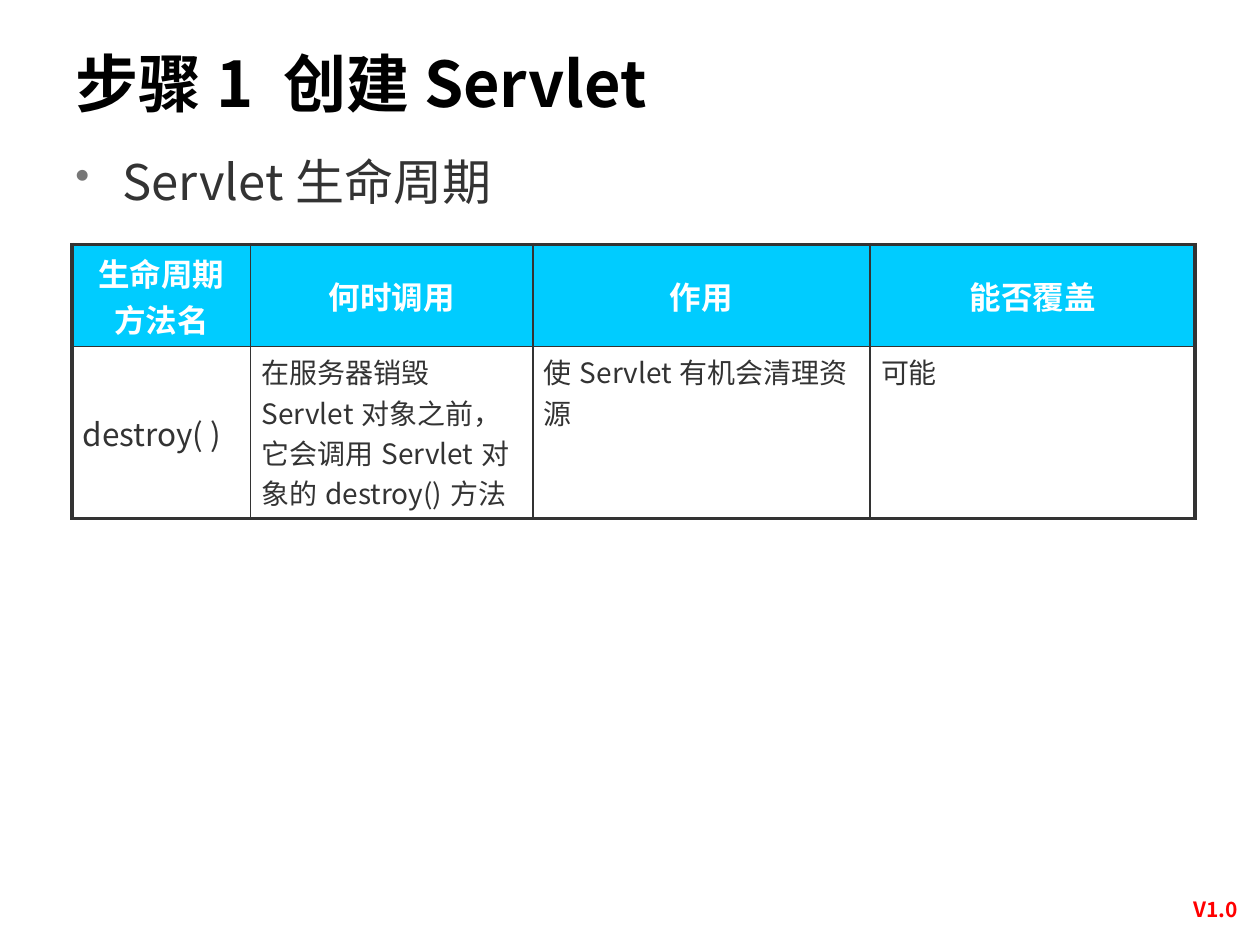
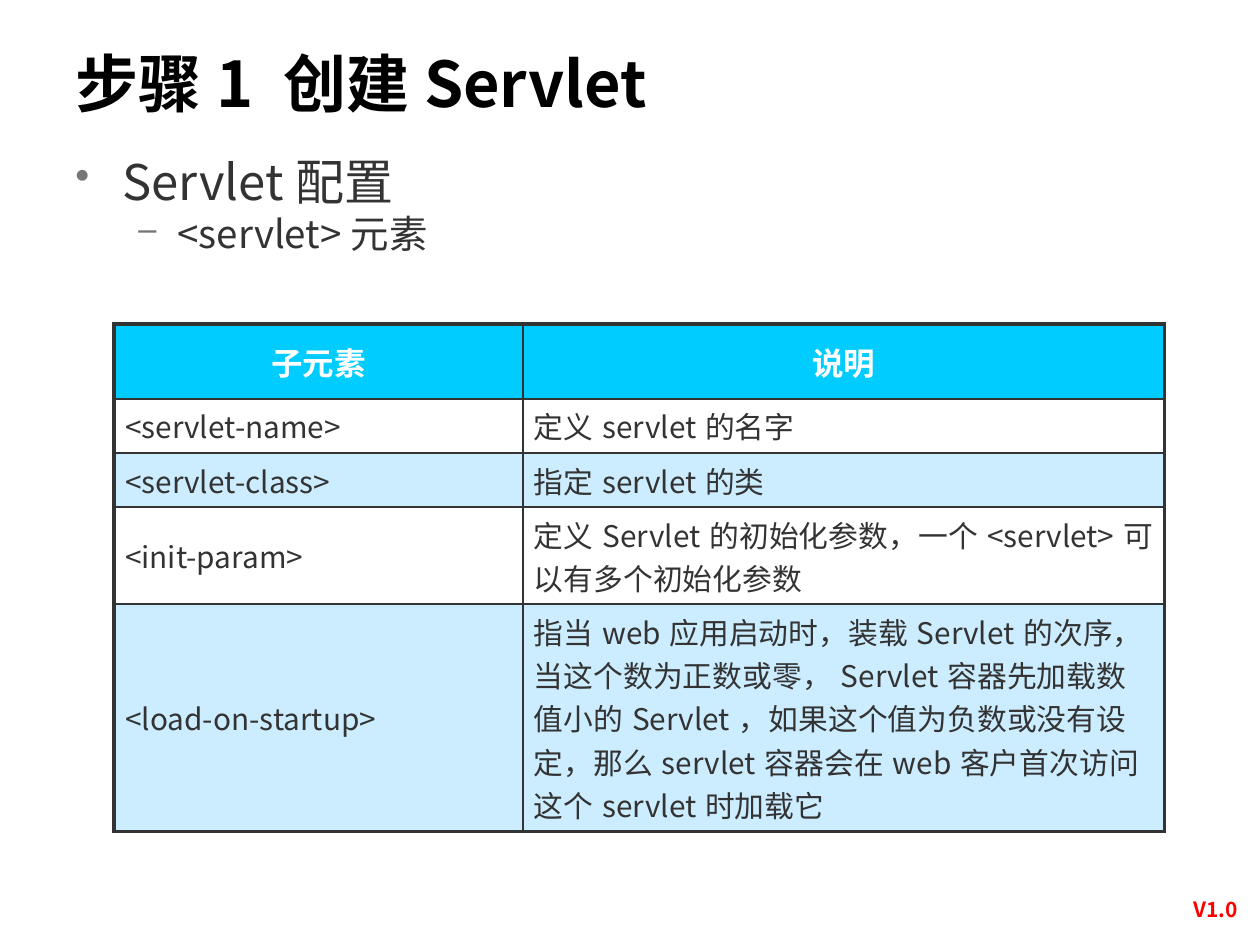
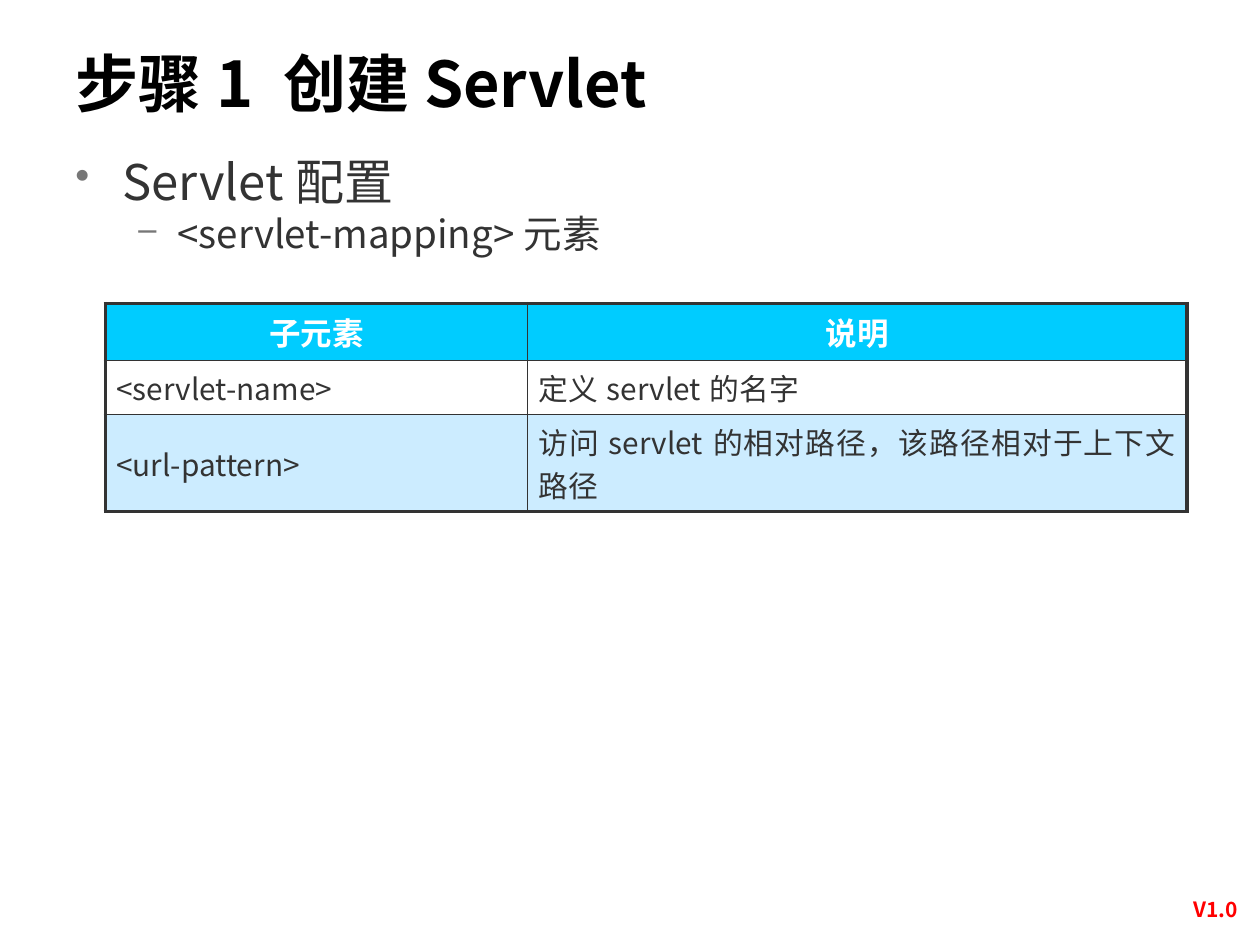
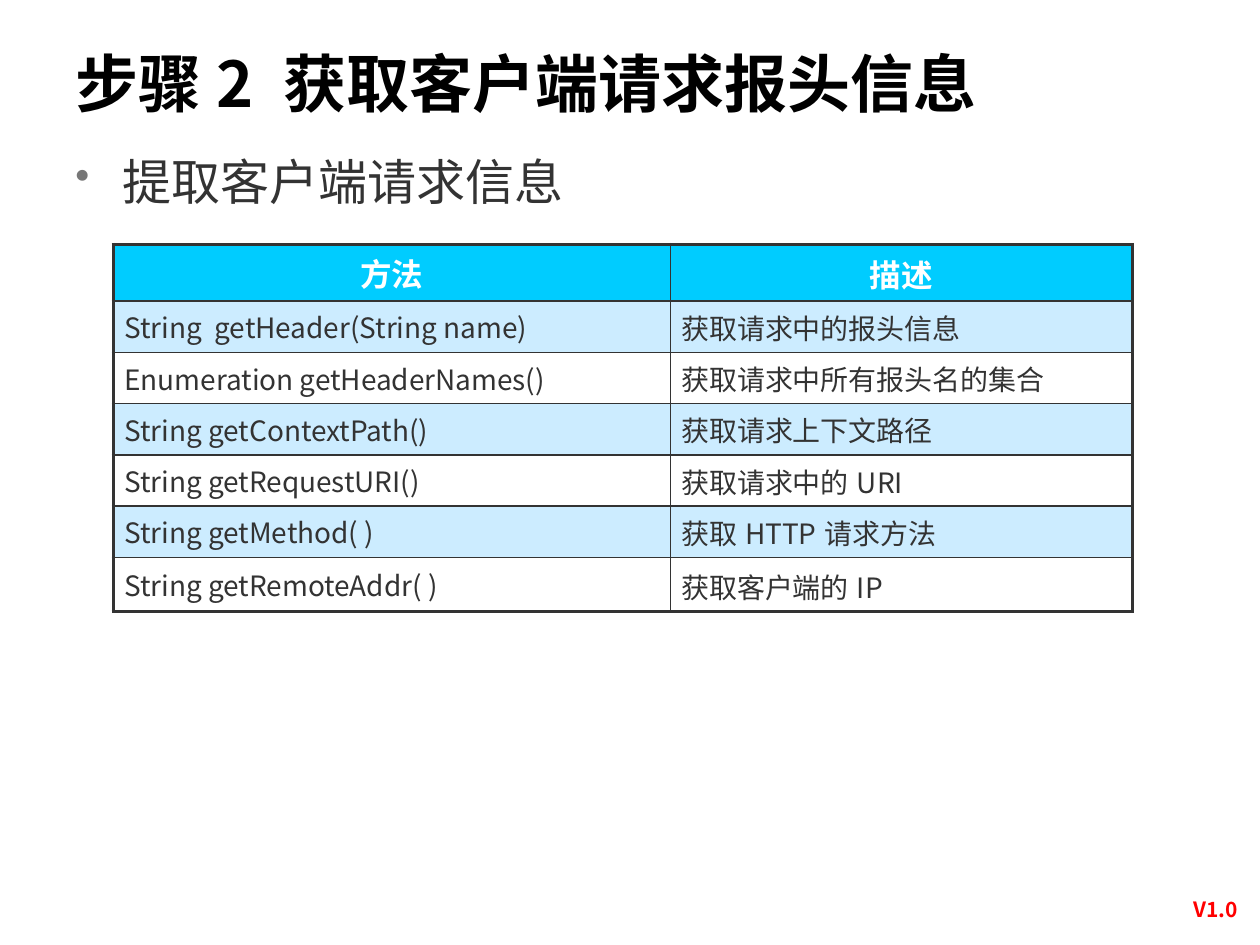
from lxml.etree import SubElement as Sub
from pptx import Presentation
from pptx.dml.color import RGBColor as Rgb
from pptx.enum.text import MSO_ANCHOR as Anchor, PP_ALIGN as Align
from pptx.oxml.ns import qn
from pptx.util import Inches, Pt

INK = {"title": "000000", "text": "333333", "mark": "777777", "note": "FF0000",
       "head": "00CCFF", "tint": "CCECFF", "white": "FFFFFF"}
FONT = "Noto Sans CJK SC"
THICK, THIN = Pt(2.25), Pt(1)

deck = Presentation()
deck.slide_width, deck.slide_height = Inches(10), Inches(7.5)
UNIT = deck.slide_width // 100  # the grid: 100 columns by 75 rows

# Bullet levels: mark, text size, left margin, hang
LEVELS = [("•", 28, 3.75, 3.75), ("–", 22, 8.1, 3.1)]


def style(par, size, ink, bold=False, align=Align.LEFT):
    """Format one paragraph and its runs."""
    par.alignment = align
    for run in par.runs:
        font = run.font
        font.size, font.bold, font.name = Pt(size), bold, FONT
        font.color.rgb = Rgb.from_string(INK[ink])
        Sub(run._r.get_or_add_rPr(), qn("a:ea")).set("typeface", FONT)


def add_box(slide, left, top, width, height, lines):
    """Add a wrapped text box in grid units and return its frame."""
    box = slide.shapes.add_textbox(*[int(n * UNIT) for n in (left, top, width, height)])
    frame = box.text_frame
    frame.word_wrap = True
    frame.text = "\n".join(lines)
    return frame


# just: rows whose last column is justified; odd: parity of the tinted rows
SLIDES = [
    {"title": "步骤1 创建Servlet", "points": ["Servlet生命周期"],
     "at": (5.7, 19.4), "cols": [14.2, 22.4, 26.75, 25.8], "rows": [8.1, 13.65],
     "sizes": [18, 16, 16, 16], "anchor": Anchor.TOP, "odd": 0, "just": [],
     "cells": [
         ["生命周期方法名", "何时调用", "作用", "能否覆盖"],
         ["destroy( )", "在服务器销毁Servlet对象之前，它会调用Servlet对象的destroy()方法",
          "使Servlet有机会清理资源", "可能"]]},
    {"title": "步骤1 创建Servlet", "points": ["Servlet配置", "<servlet>元素"],
     "at": (9.05, 25.7), "cols": [32.45, 50.9], "rows": [5.95, 4.3, 4.3, 7.7, 18.05],
     "sizes": [17, 17], "anchor": Anchor.MIDDLE, "odd": 0, "just": [2, 3],
     "cells": [
         ["子元素", "说明"],
         ["<servlet-name>", "定义servlet的名字"],
         ["<servlet-class>", "指定servlet的类"],
         ["<init-param>", "定义Servlet的初始化参数，一个<servlet>可以有多个初始化参数"],
         ["<load-on-startup>",
          "指当web应用启动时，装载Servlet的次序，当这个数为正数或零，"
          "Servlet容器先加载数值小的Servlet，如果这个值为负数或没有设定，"
          "那么servlet容器会在web客户首次访问这个servlet时加载它"]]},
    {"title": "步骤1 创建Servlet", "points": ["Servlet配置", "<servlet-mapping>元素"],
     "at": (8.35, 24.1), "cols": [33.5, 52.35], "rows": [4.5, 4.3, 7.7],
     "sizes": [17, 17], "anchor": Anchor.MIDDLE, "odd": 0, "just": [2],
     "cells": [
         ["子元素", "说明"],
         ["<servlet-name>", "定义servlet的名字"],
         ["<url-pattern>", "访问servlet的相对路径，该路径相对于上下文路径"]]},
    {"title": "步骤2 获取客户端请求报头信息", "points": ["提取客户端请求信息"],
     "at": (9, 19.4), "cols": [44.2, 36.7], "rows": [4.5] + [4.07] * 5 + [4.3],
     "sizes": [16, 16], "anchor": Anchor.BOTTOM, "odd": 1, "just": [1, 2, 3, 4, 6],
     "cells": [
         ["方法", "描述"],
         ["String  getHeader(String name)", "获取请求中的报头信息"],
         ["Enumeration getHeaderNames()", "获取请求中所有报头名的集合"],
         ["String getContextPath()", "获取请求上下文路径"],
         ["String getRequestURI()", "获取请求中的URI"],
         ["String getMethod( )", "获取HTTP请求方法"],
         ["String getRemoteAddr( )", "获取客户端的IP"]]},
]

for page in SLIDES:
    slide = deck.slides.add_slide(deck.slide_layouts[6])

    # Version note and title
    note = add_box(slide, 92.55, 70.7, 7.9, 3, ["V1.0"])
    style(note.paragraphs[0], 12, "note", True, Align.CENTER)
    title = add_box(slide, 5, 3.1, 79.7, 7.7, [page["title"]])
    title.vertical_anchor = Anchor.MIDDLE
    title.paragraphs[0].line_spacing = 0.9
    style(title.paragraphs[0], 36, "title", True)

    # Bullets, one level deeper each
    body = add_box(slide, 5, 11.5, 89.1, 54.3, page["points"])
    for depth, (par, level) in enumerate(zip(body.paragraphs, LEVELS)):
        mark, size, left, hang = level
        par.level = depth
        style(par, size, "text")
        props = par._p.get_or_add_pPr()
        props.set("marL", str(int(left * UNIT)))
        props.set("indent", str(int(-hang * UNIT)))
        Sub(Sub(props, qn("a:buClr")), qn("a:srgbClr")).set("val", INK["mark"])
        Sub(props, qn("a:buSzPct")).set("val", "85000")
        Sub(props, qn("a:buChar")).set("char", mark)

    # Table
    cols, rows = page["cols"], page["rows"]
    spot = [int(n * UNIT) for n in (*page["at"], sum(cols), sum(rows))]
    grid = slide.shapes.add_table(len(rows), len(cols), *spot).table
    grid.first_row = grid.horz_banding = False
    for col, width in zip(grid.columns, cols):
        col.width = int(width * UNIT)
    for row, height in zip(grid.rows, rows):
        row.height = int(height * UNIT)

    for r, line in enumerate(page["cells"]):
        for c, words in enumerate(line):
            cell = grid.cell(r, c)
            cell.text = words
            cell.margin_left = cell.margin_right = int(0.88 * UNIT)
            cell.margin_top = cell.margin_bottom = int(0.4 * UNIT)
            tail = c > 0 and (r > 0 or page["anchor"] == Anchor.BOTTOM)
            cell.vertical_anchor = page["anchor"] if tail else Anchor.MIDDLE
            par = cell.text_frame.paragraphs[0]
            if r == 0:
                fill = "head"
                style(par, 18, "white", True, Align.CENTER)
            else:
                fill = "tint" if r % 2 == page["odd"] else "white"
                just = c > 0 and r in page["just"]
                style(par, page["sizes"][c], "text",
                      align=Align.JUSTIFY if just else Align.LEFT)

            # Thick frame outside, thin rules inside; borders precede the fill
            props = cell._tc.get_or_add_tcPr()
            edges = {"a:lnL": c == 0, "a:lnR": c == len(cols) - 1,
                     "a:lnT": r == 0, "a:lnB": r == len(rows) - 1}
            for tag, outer in edges.items():
                edge = Sub(props, qn(tag))
                edge.set("w", str(THICK if outer else THIN))
                solid = Sub(edge, qn("a:solidFill"))
                Sub(solid, qn("a:srgbClr")).set("val", INK["text"])
            cell.fill.solid()
            cell.fill.fore_color.rgb = Rgb.from_string(INK[fill])

deck.save("out.pptx")
